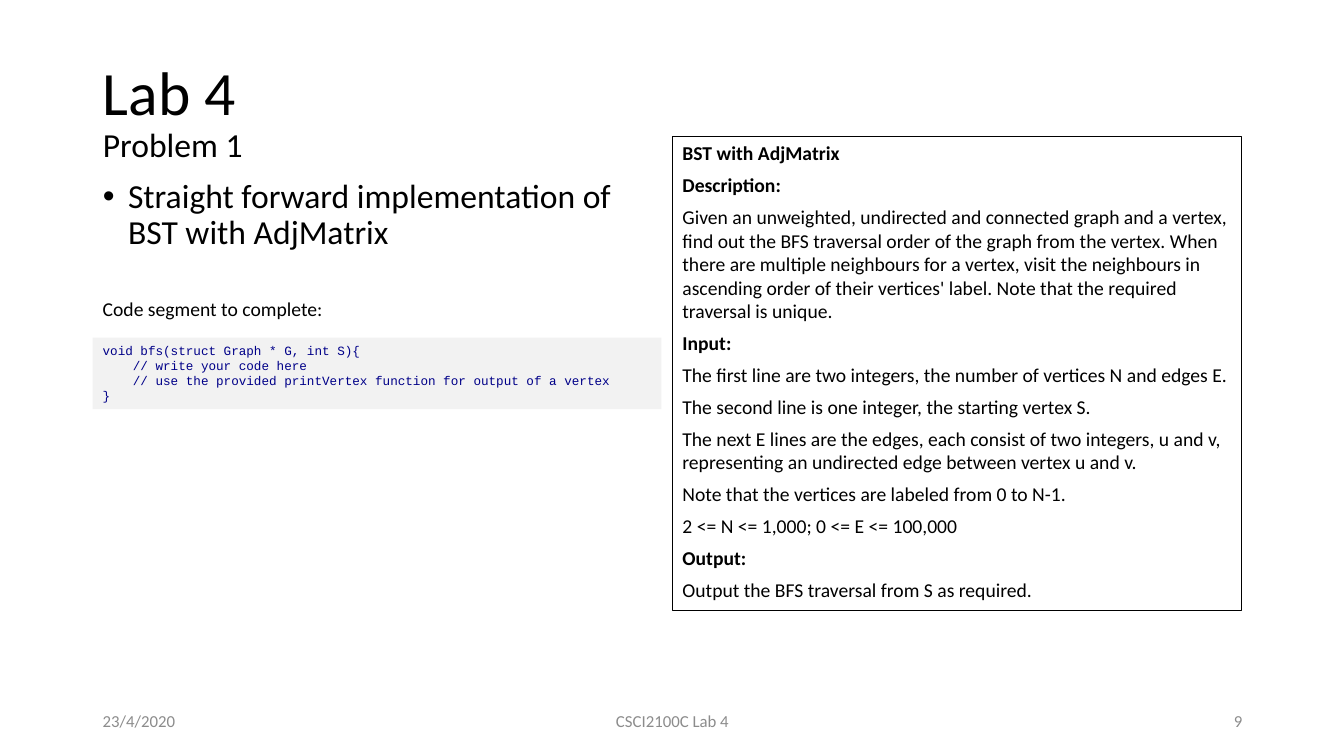
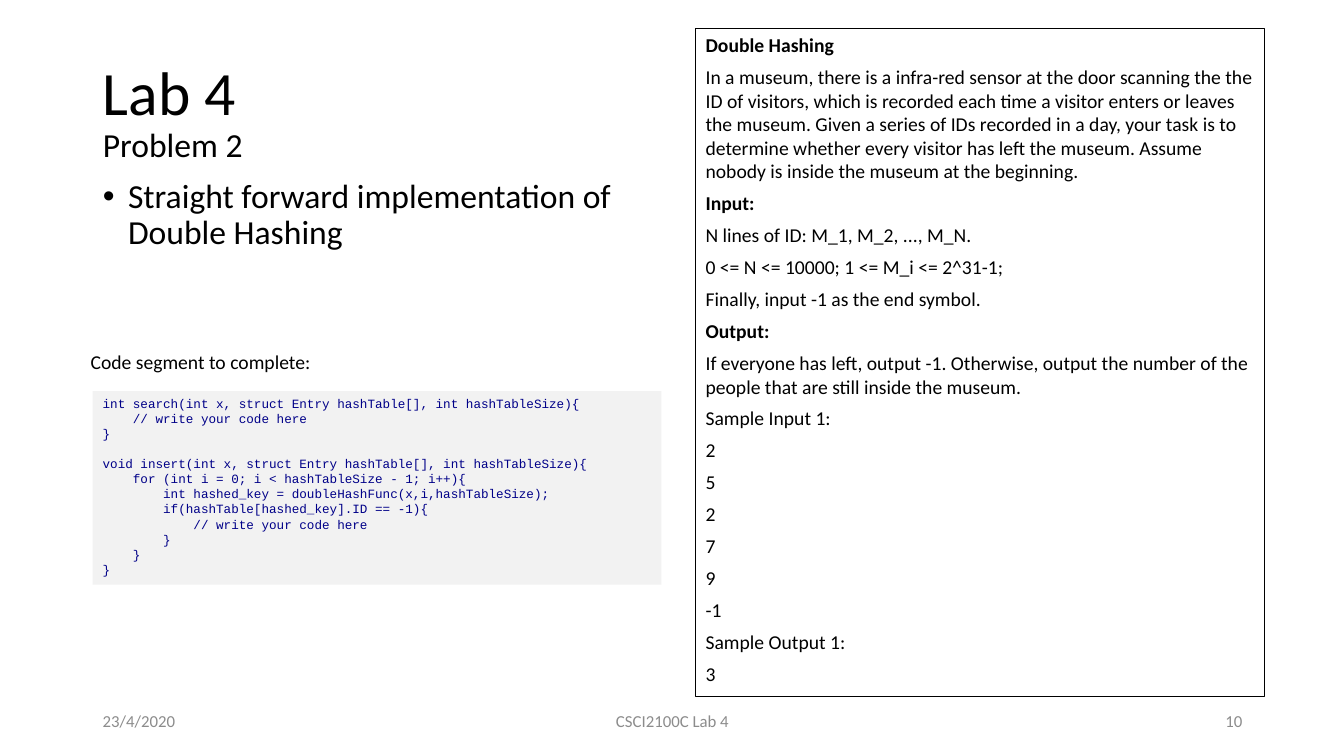
"""Build the two Lab 4 problem slides."""
from dataclasses import dataclass

from pptx import Presentation
from pptx.dml.color import RGBColor
from pptx.enum.shapes import MSO_SHAPE
from pptx.enum.text import MSO_ANCHOR, MSO_AUTO_SIZE, PP_ALIGN
from pptx.util import Inches, Pt

RECT = MSO_SHAPE.RECTANGLE
TOP, MIDDLE = MSO_ANCHOR.TOP, MSO_ANCHOR.MIDDLE
NO_FIT, GROW = MSO_AUTO_SIZE.NONE, MSO_AUTO_SIZE.SHAPE_TO_FIT_TEXT
LEFT, CENTER, RIGHT = PP_ALIGN.LEFT, PP_ALIGN.CENTER, PP_ALIGN.RIGHT


@dataclass(frozen=True)
class Theme:
    """Fonts, colours and type sizes shared by all slides."""
    font: str = "Calibri"
    code_font: str = "Courier New"
    ink: RGBColor = RGBColor(0x00, 0x00, 0x00)
    muted: RGBColor = RGBColor(0x8C, 0x8C, 0x8C)
    code_ink: RGBColor = RGBColor(0x00, 0x00, 0x88)
    code_fill: RGBColor = RGBColor(0xF2, 0xF2, 0xF2)
    title: float = 44
    heading: float = 24
    text: float = 14
    footer: float = 12
    code: float = 9
    code_gap: float = 10.2


@dataclass(frozen=True)
class Box:
    """A rectangle in inches."""
    x: float
    y: float
    w: float
    h: float


@dataclass(frozen=True)
class Footer:
    """One footer text with its place and alignment."""
    text: str
    box: Box
    align: PP_ALIGN


@dataclass(frozen=True)
class Problem:
    """Content and varying places of one problem slide."""
    title: str
    bullet: str
    number: int
    panel: Box
    panel_lines: tuple[str, ...]
    label: Box
    code: Box
    code_blocks: tuple[str, ...]


THEME = Theme()
MARGIN, COLUMN = 0.92, 5.64
TITLE_BOX = Box(MARGIN, 0.4, 11.5, 1.45)
BODY_BOX = Box(MARGIN, 1.73, COLUMN, 4.76)
CODE_LABEL = "Code segment to complete:"
FOOTER_Y, FOOTER_H = 6.95, 0.4

PROBLEMS = (
    Problem(
        title="Problem 1",
        bullet="Straight forward implementation of BST with AdjMatrix",
        number=9,
        panel=Box(6.67, 1.35, COLUMN, 4.71),
        panel_lines=(
            "BST with AdjMatrix",
            "Description:",
            "Given an unweighted, undirected and connected graph and a vertex, "
            "find out the BFS traversal order of the graph from the vertex. "
            "When there are multiple neighbours for a vertex, visit the "
            "neighbours in ascending order of their vertices' label. Note "
            "that the required traversal is unique.",
            "Input:",
            "The first line are two integers, the number of vertices N and edges E.",
            "The second line is one integer, the starting vertex S.",
            "The next E lines are the edges, each consist of two integers, "
            "u and v, representing an undirected edge between vertex u and v.",
            "Note that the vertices are labeled from 0 to N-1.",
            "2 <= N <= 1,000; 0 <= E <= 100,000",
            "Output:",
            "Output the BFS traversal from S as required.",
        ),
        label=Box(MARGIN, 2.9, 2.4, 0.34),
        code=Box(MARGIN, 3.35, COLUMN, 0.71),
        code_blocks=(
            """void bfs(struct Graph * G, int S){
    // write your code here
    // use the provided printVertex function for output of a vertex
}""",
        ),
    ),
    Problem(
        title="Problem 2",
        bullet="Straight forward implementation of Double Hashing",
        number=10,
        panel=Box(6.9, 0.28, COLUMN, 6.63),
        panel_lines=(
            "Double Hashing",
            "In a museum, there is a infra-red sensor at the door scanning the "
            "the ID of visitors, which is recorded each time a visitor enters "
            "or leaves the museum. Given a series of IDs recorded in a day, "
            "your task is to determine whether every visitor has left the "
            "museum. Assume nobody is inside the museum at the beginning.",
            "Input:",
            "N lines of ID: M_1, M_2, ..., M_N.",
            "0 <= N <= 10000; 1 <= M_i <= 2^31-1;",
            "Finally, input -1 as the end symbol.",
            "Output:",
            "If everyone has left, output -1. Otherwise, output the number of "
            "the people that are still inside the museum.",
            "Sample Input 1:", "2", "5", "2", "7", "9", "-1",
            "Sample Output 1:", "3",
        ),
        label=Box(0.8, 3.42, 2.4, 0.34),
        code=Box(MARGIN, 3.88, COLUMN, 1.92),
        code_blocks=(
            """int search(int x, struct Entry hashTable[], int hashTableSize){
    // write your code here
}""",
            """void insert(int x, struct Entry hashTable[], int hashTableSize){
    for (int i = 0; i < hashTableSize - 1; i++){
        int hashed_key = doubleHashFunc(x,i,hashTableSize);
        if(hashTable[hashed_key].ID == -1){
            // write your code here
        }
    }
}""",
        ),
    ),
)
HEADINGS = {"Description:", "Input:", "Output:"}


def inches(box: Box) -> tuple[Inches, ...]:
    """Return left, top, width and height as lengths."""
    return Inches(box.x), Inches(box.y), Inches(box.w), Inches(box.h)


def place(sp, box: Box) -> None:
    """Move and size a placeholder."""
    sp.left, sp.top, sp.width, sp.height = inches(box)


def style(tf, size: float, color: RGBColor = THEME.ink,
          font: str = THEME.font, align: PP_ALIGN = LEFT) -> None:
    """Format every paragraph and run of a text frame."""
    for p in tf.paragraphs:
        p.alignment = align
        for r in p.runs:
            r.font.name, r.font.size = font, Pt(size)
            r.font.color.rgb = color


def add_title(s, subtitle: str) -> None:
    """Fill the title placeholder with the lab name and a smaller subtitle."""
    sp = s.shapes.title
    place(sp, TITLE_BOX)
    tf = sp.text_frame
    tf.text = f"Lab 4\v{subtitle}"
    tf.vertical_anchor, tf.auto_size = MIDDLE, NO_FIT
    style(tf, THEME.title)
    p = tf.paragraphs[0]
    p.line_spacing = 0.9
    p.runs[-1].font.size = Pt(THEME.heading)


def add_bullet(s, text: str) -> None:
    """Fill the body placeholder with one bulleted line."""
    sp = s.placeholders[1]
    place(sp, BODY_BOX)
    tf = sp.text_frame
    tf.text = text
    tf.vertical_anchor, tf.auto_size = TOP, NO_FIT
    style(tf, THEME.heading)
    p = tf.paragraphs[0]
    p.line_spacing, p.space_before = 0.9, Pt(10)
    pPr = p._p.get_or_add_pPr()
    pPr.set("marL", str(Inches(0.25)))
    pPr.set("indent", str(-Inches(0.25)))


def add_rect(s, box: Box, text: str):
    """Add a plain rectangle holding top-anchored text."""
    sp = s.shapes.add_shape(RECT, *inches(box))
    sp.shadow.inherit = False
    tf = sp.text_frame
    tf.text = text
    tf.word_wrap, tf.auto_size, tf.vertical_anchor = True, GROW, TOP
    return sp


def add_panel(s, box: Box, lines: tuple[str, ...]) -> None:
    """Add the outlined problem statement with bold headings."""
    sp = add_rect(s, box, "\n".join(lines))
    sp.fill.background()
    sp.line.color.rgb, sp.line.width = THEME.ink, Pt(0.75)
    style(sp.text_frame, THEME.text)
    for i, p in enumerate(sp.text_frame.paragraphs):
        p.space_after = Pt(6)
        p.runs[0].font.bold = i == 0 or p.text in HEADINGS


def add_code(s, box: Box, blocks: tuple[str, ...]) -> None:
    """Add a shaded code listing with a gap between its blocks."""
    sp = add_rect(s, box, "\n".join(blocks))
    sp.fill.solid()
    sp.fill.fore_color.rgb = THEME.code_fill
    sp.line.fill.background()
    tf = sp.text_frame
    style(tf, THEME.code, THEME.code_ink, THEME.code_font)
    start = 0
    for block in blocks[:-1]:
        start += len(block.splitlines())
        tf.paragraphs[start].space_before = Pt(THEME.code_gap)


def add_label(s, box: Box, text: str) -> None:
    """Add the one-line caption above the code."""
    tf = s.shapes.add_textbox(*inches(box)).text_frame
    tf.text = text
    tf.word_wrap, tf.auto_size = False, GROW
    style(tf, THEME.text)


def add_footers(s, number: int) -> None:
    """Add the date, the course name and the slide number."""
    footers = (
        Footer("23/4/2020", Box(MARGIN, FOOTER_Y, 3, FOOTER_H), LEFT),
        Footer("CSCI2100C Lab 4", Box(4.42, FOOTER_Y, 4.5, FOOTER_H), CENTER),
        Footer(str(number), Box(9.42, FOOTER_Y, 3, FOOTER_H), RIGHT),
    )
    for footer in footers:
        tf = s.shapes.add_textbox(*inches(footer.box)).text_frame
        tf.text = footer.text
        tf.word_wrap, tf.vertical_anchor = True, MIDDLE
        style(tf, THEME.footer, THEME.muted, align=footer.align)


def add_problem(prs, problem: Problem) -> None:
    """Add one problem slide."""
    s = prs.slides.add_slide(prs.slide_layouts[1])
    add_title(s, problem.title)
    add_bullet(s, problem.bullet)
    add_panel(s, problem.panel, problem.panel_lines)
    add_label(s, problem.label, CODE_LABEL)
    add_code(s, problem.code, problem.code_blocks)
    add_footers(s, problem.number)


def main() -> None:
    """Build and save the presentation."""
    prs = Presentation()
    prs.slide_width, prs.slide_height = Inches(13.33), Inches(7.5)
    for problem in PROBLEMS:
        add_problem(prs, problem)
    prs.save("out.pptx")


if __name__ == "__main__":
    main()
